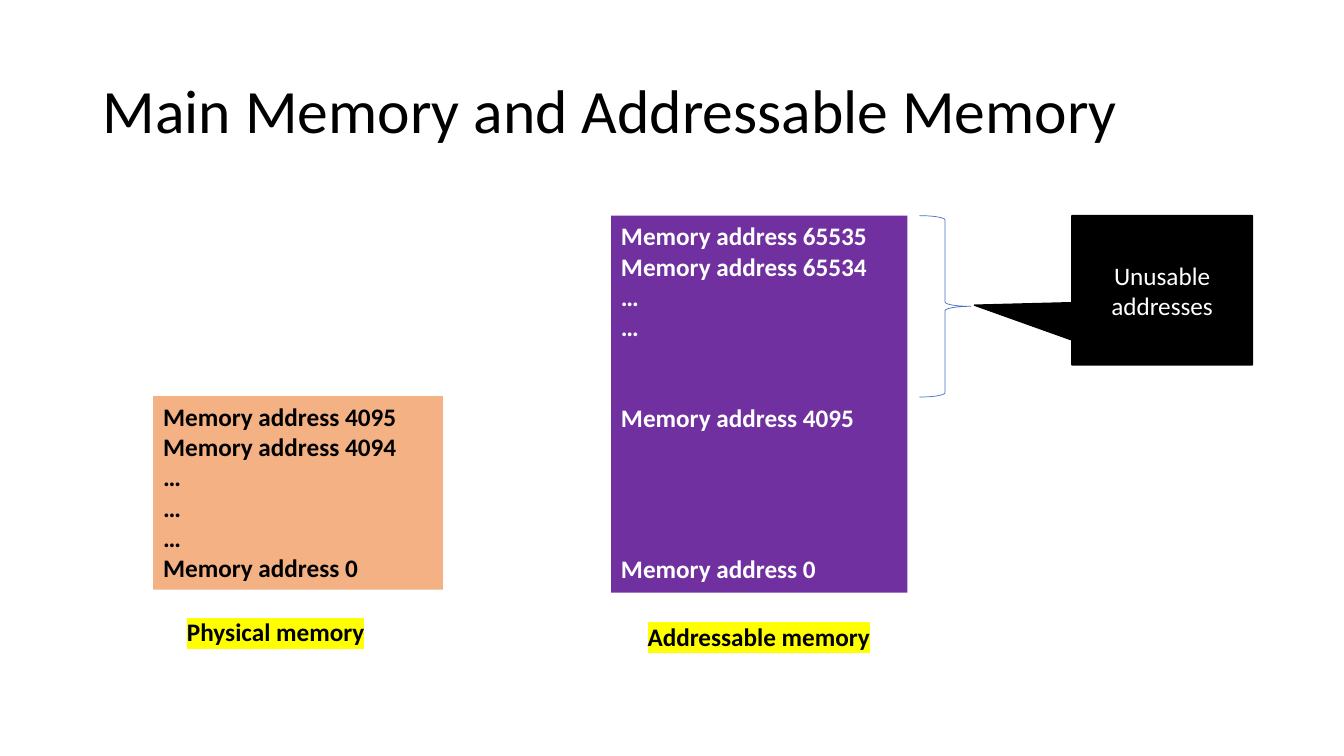
from lxml.etree import SubElement
from pptx import Presentation
from pptx.dml.color import RGBColor
from pptx.enum.shapes import MSO_SHAPE as SHAPE
from pptx.enum.text import MSO_ANCHOR as ANCHOR, PP_ALIGN as ALIGN
from pptx.oxml.ns import qn
from pptx.util import Inches, Pt

BLACK = RGBColor(0x00, 0x00, 0x00)
WHITE = RGBColor(0xFF, 0xFF, 0xFF)
ORANGE = RGBColor(0xF4, 0xB1, 0x83)
PURPLE = RGBColor(0x70, 0x30, 0xA0)
BLUE = RGBColor(0x44, 0x72, 0xC4)
YELLOW = RGBColor(0xFF, 0xFF, 0x00)

UNUSABLE_TOP = 28.53
GAP_LINE = 21.6


class MemorySlide:
    font = "Calibri"
    size = 18

    def __init__(self, prs):
        self.width, self.height = prs.slide_width, prs.slide_height
        self.s = prs.slides.add_slide(prs.slide_layouts[6])

    def box(self, left, top, width, height):
        return (int(self.width * left / 100), int(self.height * top / 100),
                int(self.width * width / 100), int(self.height * height / 100))

    def set_text(self, sp, lines, color, size=None, bold=False,
                 align=ALIGN.LEFT, anchor=ANCHOR.TOP, gaps=None):
        tf = sp.text_frame
        tf.word_wrap = True
        tf.vertical_anchor = anchor
        tf.text = "\n".join(lines)
        for i, p in enumerate(tf.paragraphs):
            p.alignment = align
            p.font.name = self.font
            p.font.size = Pt(size or self.size)
            p.font.bold = bold
            p.font.color.rgb = color
            if gaps and i in gaps:
                p.space_before = Pt(gaps[i] * GAP_LINE)
        return tf

    def title(self, place, text):
        sp = self.s.shapes.add_textbox(*self.box(*place))
        tf = self.set_text(sp, [text], BLACK, size=44, anchor=ANCHOR.MIDDLE)
        tf.paragraphs[0].line_spacing = 0.9

    def label(self, place, text):
        sp = self.s.shapes.add_textbox(*self.box(*place))
        tf = self.set_text(sp, [text], BLACK, bold=True, align=ALIGN.CENTER)
        r = tf.paragraphs[0].runs[0]
        highlight = SubElement(r._r.get_or_add_rPr(), qn("a:highlight"))
        SubElement(highlight, qn("a:srgbClr"), val=str(YELLOW))

    def shape(self, kind, place, fill=None, line=None, weight=1):
        sp = self.s.shapes.add_shape(kind, *self.box(*place))
        sp.shadow.inherit = False
        if fill is None:
            sp.fill.background()
        else:
            sp.fill.solid()
            sp.fill.fore_color.rgb = fill
        if line is None:
            sp.line.fill.background()
        else:
            sp.line.color.rgb = line
            sp.line.width = Pt(weight)
        return sp

    def memory(self, place, lines, fill, color, gaps=None):
        sp = self.shape(SHAPE.RECTANGLE, place, fill)
        self.set_text(sp, lines, color, bold=True, gaps=gaps)

    def brace(self, place):
        self.shape(SHAPE.RIGHT_BRACE, place, line=BLUE, weight=0.5)

    def callout(self, place, text, tip):
        sp = self.shape(SHAPE.RECTANGULAR_CALLOUT, place, BLACK, BLACK)
        sp.adjustments[0], sp.adjustments[1] = tip
        self.set_text(sp, [text], WHITE, align=ALIGN.CENTER, anchor=ANCHOR.MIDDLE)


def address(number):
    return f"Memory address {number}"


def main():
    prs = Presentation()
    prs.slide_width, prs.slide_height = Inches(13.33), Inches(7.5)
    slide = MemorySlide(prs)

    slide.title((6.9, 5.33, 86.25, 19.33), "Main Memory and Addressable Memory")
    slide.memory((11.4, 52.4, 21.55, 25.6),
                 [address(4095), address(4094), "…", "…", "…", address(0)],
                 ORANGE, BLACK)
    slide.memory((45.47, UNUSABLE_TOP, 22.05, 49.87),
                 [address(65535), address(65534), "…", "…", address(4095), address(0)],
                 PURPLE, WHITE, gaps={4: 2, 5: 4})
    slide.brace((68.4, UNUSABLE_TOP, 3.83, 24))
    slide.callout((79.75, UNUSABLE_TOP, 13.43, 19.73), "Unusable addresses", (-1.04, 0.1))
    slide.label((12.45, 80.93, 16.13, 5.33), "Physical memory")
    slide.label((47.27, 81.47, 18.38, 5.33), "Addressable memory")

    prs.save("out.pptx")


if __name__ == "__main__":
    main()
